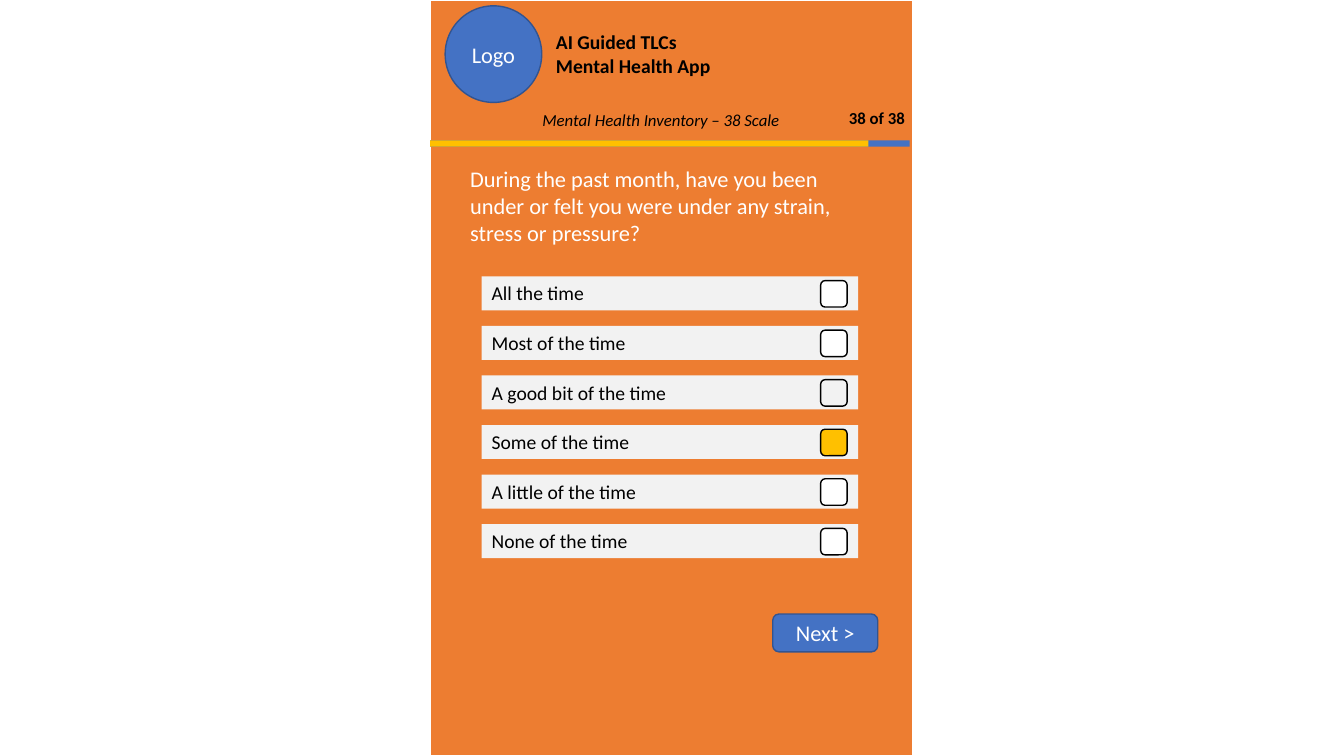
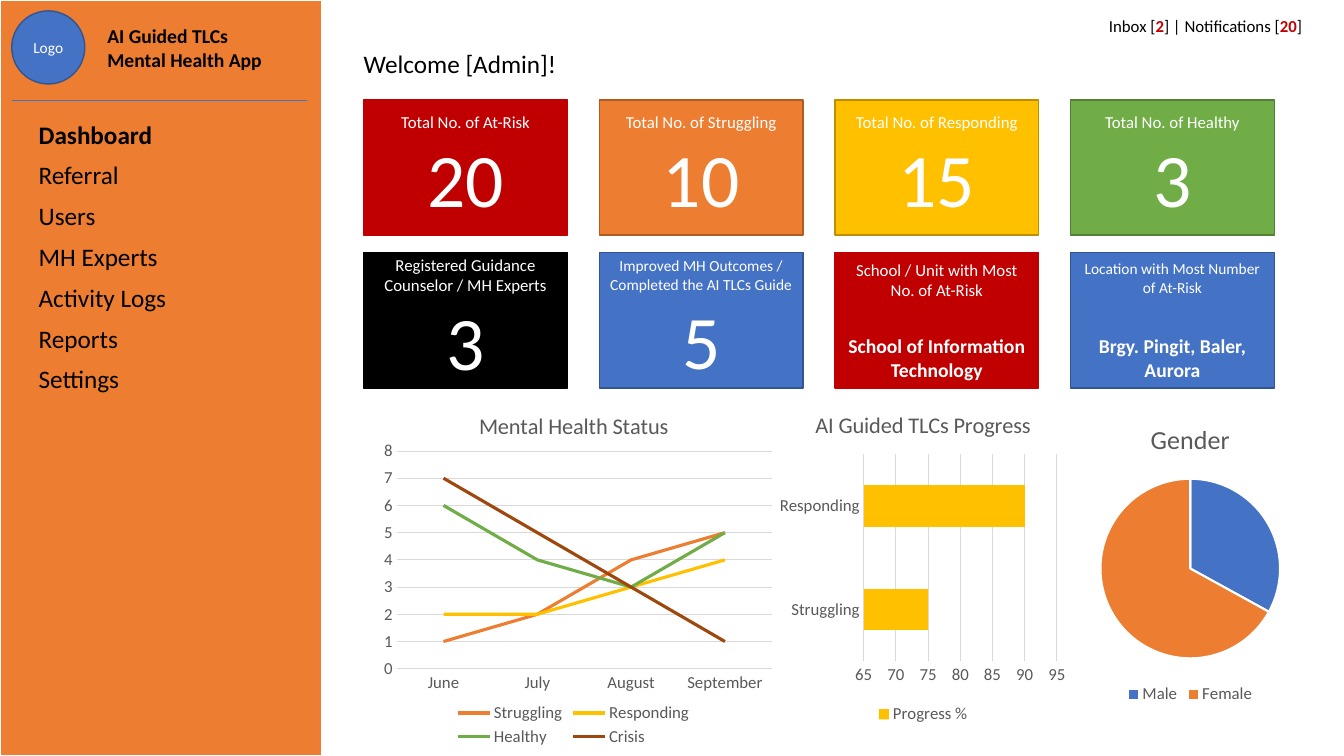
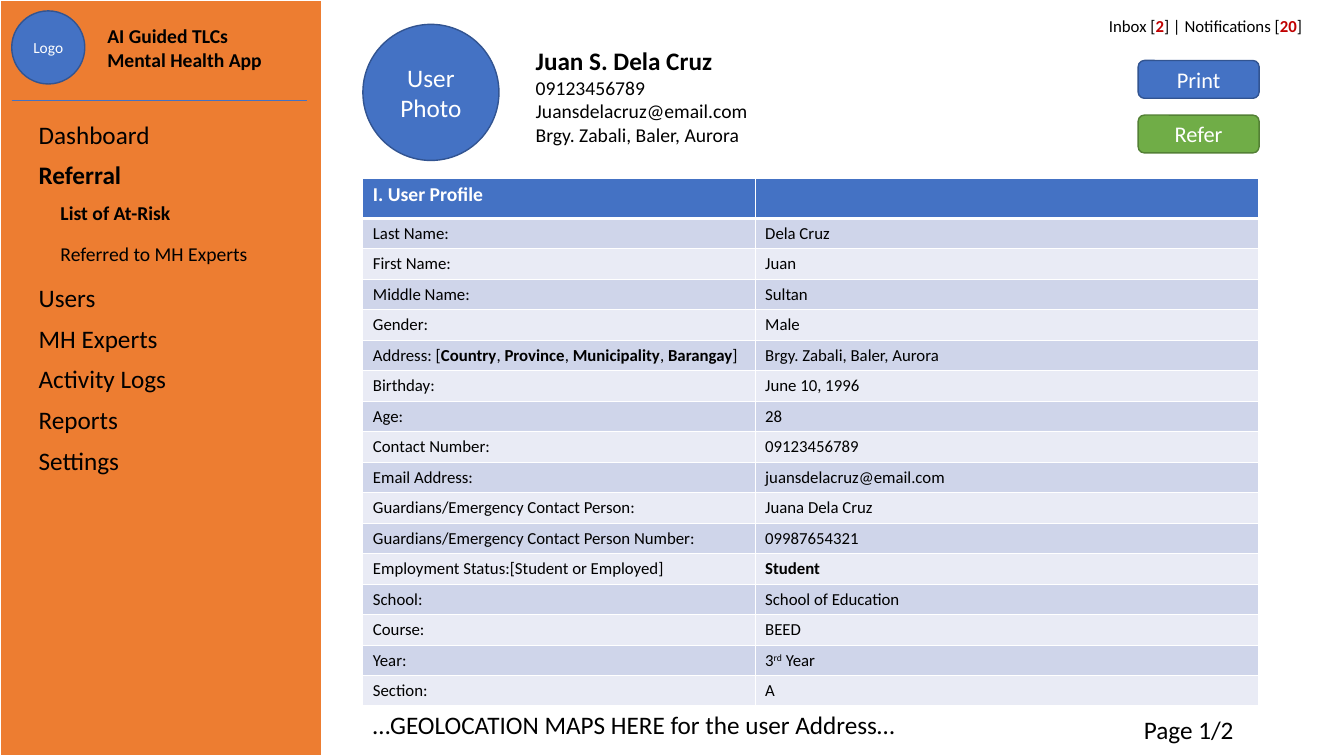
from dataclasses import dataclass
from lxml.etree import SubElement
from pptx import Presentation
from pptx.chart.data import CategoryChartData
from pptx.dml.color import RGBColor
from pptx.enum.chart import XL_CHART_TYPE, XL_LEGEND_POSITION, XL_TICK_MARK
from pptx.enum.shapes import MSO_CONNECTOR, MSO_SHAPE
from pptx.enum.text import MSO_ANCHOR, PP_ALIGN
from pptx.oxml.ns import qn
from pptx.util import Inches, Pt

COLUMNS, ROWS = 160, 90
CELL = Inches(1) / 12
FONT = "Calibri"
PLAIN_TABLE = "{2D5ABB26-0587-4C30-8999-92F81FD0307C}"
COLORS = {
    "orange": "ED7D31", "blue": "4472C4", "yellow": "FFC000", "green": "70AD47",
    "red": "C00000", "brown": "9E480E", "black": "000000", "white": "FFFFFF",
    "pale": "F2F2F2", "band_dark": "CFD5EA", "band_light": "E9EBF5",
    "chart_text": "595959", "chart_grid": "D9D9D9",
    "blue_edge": "325491", "orange_edge": "AF5C24", "yellow_edge": "BD8E00",
    "green_edge": "538035",
}
APP_TITLE = "AI Guided TLCs Mental Health App"
MENU = ["Dashboard", "Referral", "Users", "MH Experts", "Activity Logs", "Reports", "Settings"]
REFERRAL_MENU = ["List of At-Risk", "Referred to MH Experts"]
ANSWERS = [
    ("All the time", "white"), ("Most of the time", "white"),
    ("A good bit of the time", None), ("Some of the time", "yellow"),
    ("A little of the time", "white"), ("None of the time", "white"),
]
CARDS = [
    ("red", 12, "Total No. of At-Risk", "20", 0),
    ("orange", 12, "Total No. of Struggling", "10", 0),
    ("yellow", 12, "Total No. of Responding", "15", 0),
    ("green", 12, "Total No. of Healthy", "3", 0),
    ("black", 12, "Registered Guidance Counselor / MH Experts", "3", 0),
    ("blue", 11, "Improved MH Outcomes / Completed the AI TLCs Guide", "5", 0),
    ("red", 12, "School / Unit with Most No. of At-Risk", "School of Information Technology", 24),
    ("blue", 11, "Location with Most Number of At-Risk", "Brgy. Pingit, Baler, Aurora", 27),
]
BOLD = {"bold": True}
PROFILE = [
    (["Last Name:"], ["Dela Cruz"]),
    (["First Name:"], ["Juan"]),
    (["Middle Name:"], ["Sultan"]),
    (["Gender:"], ["Male"]),
    (["Address: [", ("Country", BOLD), ", ", ("Province", BOLD), ", ",
      ("Municipality", BOLD), ", ", ("Barangay", BOLD), "]"], ["Brgy. Zabali, Baler, Aurora"]),
    (["Birthday:"], ["June 10, 1996"]),
    (["Age:"], ["28"]),
    (["Contact Number:"], ["09123456789"]),
    (["Email Address:"], ["juansdelacruz@email.com"]),
    (["Guardians/Emergency Contact Person:"], ["Juana Dela Cruz"]),
    (["Guardians/Emergency Contact Person Number:"], ["09987654321"]),
    (["Employment Status:[Student or Employed]"], [("Student", BOLD)]),
    (["School:"], ["School of Education"]),
    (["Course:"], ["BEED"]),
    (["Year:"], ["3", ("rd", {"baseline": 30000}), " Year"]),
    (["Section:"], ["A"]),
]


@dataclass
class Box:
    left: float
    top: float
    width: float
    height: float

    def within(self, left, top, width, height):
        return Box(self.left + left, self.top + top, width, height)

    def lengths(self):
        return [cells(n) for n in (self.left, self.top, self.width, self.height)]


SLIDE = Box(0, 0, COLUMNS, ROWS)


def cells(count):
    return int(count * CELL)


def rgb(name):
    return RGBColor.from_string(COLORS[name])


def add_spans(para, spans, size, color="black", bold=False, italic=False):
    for item in spans:
        text, extra = (item, {}) if isinstance(item, str) else item
        span = para.add_run()
        span.text = text
        font = span.font
        font.name = FONT
        font.size = Pt(extra.get("size", size))
        font.color.rgb = rgb(extra.get("color", color))
        font.bold = extra.get("bold", bold)
        font.italic = italic
        if "baseline" in extra:
            font._element.set("baseline", str(extra["baseline"]))


def fill_text(frame, paragraphs, size, align=PP_ALIGN.LEFT, anchor=MSO_ANCHOR.TOP, **style):
    frame.word_wrap = True
    frame.vertical_anchor = anchor
    for index, spans in enumerate(paragraphs):
        para = frame.add_paragraph() if index else frame.paragraphs[0]
        para.alignment = align
        add_spans(para, spans, size, **style)


def add_text(page, box, paragraphs, size, **style):
    text_box = page.shapes.add_textbox(*box.lengths())
    fill_text(text_box.text_frame, paragraphs, size, **style)
    return text_box


def add_block(page, box, fill, edge=None, edge_width=1, kind=MSO_SHAPE.RECTANGLE):
    block = page.shapes.add_shape(kind, *box.lengths())
    block.shadow.inherit = False
    if fill:
        block.fill.solid()
        block.fill.fore_color.rgb = rgb(fill)
    else:
        block.fill.background()
    if edge:
        block.line.color.rgb = rgb(edge)
        block.line.width = Pt(edge_width)
    else:
        block.line.fill.background()
    return block


def add_label(page, box, text, size, kind, fill="blue"):
    label = add_block(page, box, fill, fill + "_edge", kind=kind)
    fill_text(label.text_frame, [[text]], size, PP_ALIGN.CENTER, MSO_ANCHOR.MIDDLE, color="white")


def add_button(page, box, text, fill="blue"):
    add_label(page, box, text, 16, MSO_SHAPE.ROUNDED_RECTANGLE, fill)


def add_grid(page, box, widths, heights):
    table = page.shapes.add_table(len(heights), len(widths), *box.lengths()).table
    table.first_row = table.horz_banding = False
    table._tbl.tblPr.find(qn("a:tableStyleId")).text = PLAIN_TABLE
    for column, width in zip(table.columns, widths):
        column.width = cells(width)
    for row, height in zip(table.rows, heights):
        row.height = cells(height)
    return table


def set_borders(cell, top, bottom):
    properties = cell._tc.get_or_add_tcPr()
    sides = {"lnL": 1, "lnR": 1, "lnT": top, "lnB": bottom}
    for index, (side, width) in enumerate(sides.items()):
        border = SubElement(properties, qn("a:" + side), w=str(Pt(width)))
        fill = SubElement(border, qn("a:solidFill"))
        SubElement(fill, qn("a:srgbClr"), val=COLORS["white"])
        properties.insert(index, border)


def add_answers(page, box):
    pitch = box.height / len(ANSWERS)
    for index, (text, mark) in enumerate(ANSWERS):
        answer = box.within(0, index * pitch, box.width, 4.05)
        bar = add_block(page, answer, "pale")
        fill_text(bar.text_frame, [[text]], 14)
        add_block(page, answer.within(40.35, 0.5, 3.15, 3.15), mark, "black",
                  kind=MSO_SHAPE.ROUNDED_RECTANGLE)


def add_phone(page, box):
    add_block(page, box, "orange", "white", 1.5)
    add_label(page, box.within(1.8, 0.7, 11.5, 11.5), "Logo", 16, MSO_SHAPE.OVAL)
    add_text(page, box.within(13.8, 3, 22, 6.8), [[APP_TITLE]], 14, bold=True)
    add_text(page, box.within(4.1, 12.5, 46.8, 3.6), [["Mental Health Inventory – 38 Scale"]], 12,
             align=PP_ALIGN.CENTER, italic=True)
    add_text(page, box.within(47.2, 12.2, 12, 3.7), [["38 of 38"]], 12,
             align=PP_ALIGN.CENTER, bold=True)
    for width, color in ((57.1, "blue"), (52.2, "yellow")):
        add_block(page, box.within(0, 16.7, width, 0.75), color)
    question = "During the past month, have you been under or felt you were under any strain, stress or pressure?"
    add_text(page, box.within(3.6, 19.1, 50.6, 10.9), [[question]], 16, color="white")
    add_answers(page, box.within(6.15, 32.9, 44.8, 35.4))
    add_button(page, box.within(40.8, 73.1, 12.5, 4.5), "Next >")


def add_menu(page, box, entries):
    pitch = 4.86
    menu_box = box.within(0, 0, box.width, pitch * len(entries))
    table = add_grid(page, menu_box, [box.width], [pitch] * len(entries))
    for row, (text, bold, nested) in enumerate(entries):
        cell = table.cell(row, 0)
        cell.fill.background()
        if nested:
            cell.margin_left = cells(3.8)
        fill_text(cell.text_frame, [[text]], 14 if nested else 18, bold=bold)


def add_sidebar(page, box, entries):
    add_block(page, box, "orange", "white", 1.5)
    add_label(page, box.within(1.4, 1.3, 8.7, 8.7), "Logo", 11, MSO_SHAPE.OVAL)
    add_text(page, box.within(11.6, 2.3, 22, 6.8), [[APP_TITLE]], 14, bold=True)
    start = box.within(1.4, 11.9, 35.2, 0)
    left, top, width, _ = start.lengths()
    rule = page.shapes.add_connector(MSO_CONNECTOR.STRAIGHT, left, top, left + width, top)
    rule.line.color.rgb = rgb("blue")
    rule.line.width = Pt(0.5)
    SubElement(rule._element.spPr, qn("a:effectLst"))
    add_menu(page, box.within(3.4, 13.7, 31.7, 44), entries)


def add_admin_frame(page, entries):
    add_sidebar(page, SLIDE.within(0, 0, 38.3, ROWS), entries)
    count = {"color": "red", "bold": True}
    add_text(page, SLIDE.within(124.3, 1.3, 31.9, 3.6),
             [["Inbox [", ("2", count), "] | Notifications [", ("20", count), "]"]],
             12, align=PP_ALIGN.RIGHT)


def add_cards(page, box):
    for index, (color, size, heading, value, gap) in enumerate(CARDS):
        row, column = divmod(index, 4)
        place = box.within(column * 28.05, row * 18.2, 24.25, 16.1)
        edge = color + "_edge" if color + "_edge" in COLORS else color
        frame = add_block(page, place, color, edge).text_frame
        style = {"size": 14, "bold": True} if gap else {"size": 54}
        fill_text(frame, [[heading], [(value, style)]], size, PP_ALIGN.CENTER,
                  MSO_ANCHOR.MIDDLE, color="white")
        if gap:
            frame.paragraphs[1].space_before = Pt(gap)


def style_font(font, size=12):
    font.name = FONT
    font.size = Pt(size)
    font.bold = False
    font.color.rgb = rgb("chart_text")


def set_plot_layout(chart, shares):
    area = chart._chartSpace.chart.plotArea
    for old in area.findall(qn("c:layout")):
        area.remove(old)
    layout = SubElement(area, qn("c:layout"))
    area.insert(0, layout)
    manual = SubElement(layout, qn("c:manualLayout"))
    settings = [("layoutTarget", "inner"), ("xMode", "edge"), ("yMode", "edge")]
    for name, value in settings + list(zip("xywh", shares)):
        SubElement(manual, qn("c:" + name), val=str(value))


def style_axes(chart):
    for axis in (chart.category_axis, chart.value_axis):
        style_font(axis.tick_labels.font)
        axis.major_tick_mark = axis.minor_tick_mark = XL_TICK_MARK.NONE
    chart.category_axis.format.line.color.rgb = rgb("chart_grid")
    chart.category_axis.format.line.width = Pt(0.75)
    chart.value_axis.format.line.fill.background()
    grid = chart.value_axis.major_gridlines.format.line
    grid.color.rgb = rgb("chart_grid")
    grid.width = Pt(0.75)


def add_figure(page, box, kind, title, categories, series, layout, title_size=16):
    data = CategoryChartData()
    data.categories = categories
    for name, values in series:
        data.add_series(name, values)
    chart = page.shapes.add_chart(kind, *box.lengths(), data).chart
    style_font(chart.font)
    chart.has_title = True
    para = chart.chart_title.text_frame.paragraphs[0]
    add_spans(para, [title], title_size, color="chart_text")
    chart.chart_title.include_in_layout = False
    chart.has_legend = True
    chart.legend.position = XL_LEGEND_POSITION.BOTTOM
    chart.legend.include_in_layout = False
    style_font(chart.legend.font)
    set_plot_layout(chart, layout)
    return chart


def add_status_chart(page, box):
    series = [("Struggling", (1, 2, 4, 5)), ("Responding", (2, 2, 3, 4)),
              ("Healthy", (6, 4, 3, 5)), ("Crisis", (7, 5, 3, 1))]
    chart = add_figure(page, box, XL_CHART_TYPE.LINE, "Mental Health Status",
                       ["June", "July", "August", "September"], series, (0.08, 0.16, 0.89, 0.61))
    style_axes(chart)
    chart.value_axis.minimum_scale, chart.value_axis.maximum_scale = 0, 8
    chart.value_axis.major_unit = 1
    for line, color in zip(chart.plots[0].series, ("orange", "yellow", "green", "brown")):
        line.smooth = False
        line.format.line.color.rgb = rgb(color)
        line.format.line.width = Pt(2.25)


def add_progress_chart(page, box):
    chart = add_figure(page, box, XL_CHART_TYPE.BAR_STACKED, "AI Guided TLCs Progress",
                       ["Struggling", "Responding"], [("Progress %", (75, 90))],
                       (0.3, 0.18, 0.65, 0.62))
    style_axes(chart)
    chart.value_axis.minimum_scale, chart.value_axis.maximum_scale = 65, 95
    chart.value_axis.major_unit = 5
    plot = chart.plots[0]
    plot.gap_width, plot.overlap = 150, 100
    plot.vary_by_categories = False
    fill = plot.series[0].format.fill
    fill.solid()
    fill.fore_color.rgb = rgb("yellow")


def add_gender_chart(page, box):
    chart = add_figure(page, box, XL_CHART_TYPE.PIE, "Gender", ["Male", "Female"],
                       [("Gender", (33, 67))], (0.28, 0.24, 0.44, 0.6), 18.6)
    plot = chart.plots[0]
    plot.vary_by_categories = True
    for index, color in enumerate(("blue", "orange")):
        look = plot.series[0].points[index].format
        look.fill.solid()
        look.fill.fore_color.rgb = rgb(color)
        look.line.color.rgb = rgb("white")
        look.line.width = Pt(1.5)


def add_profile_table(page, box):
    table = add_grid(page, box, [46.7, 59.9], [4.05] + [3.63] * len(PROFILE))
    for row, pair in enumerate([(["I. User Profile"], [])] + PROFILE):
        band = "band_dark" if row % 2 else "band_light"
        for column, spans in enumerate(pair):
            cell = table.cell(row, column)
            cell.fill.solid()
            cell.fill.fore_color.rgb = rgb(band if row else "blue")
            set_borders(cell, 3 if row == 1 else 1, 1 if row else 3)
            if row:
                fill_text(cell.text_frame, [spans], 12)
            else:
                fill_text(cell.text_frame, [spans], 14, color="white", bold=True)


def build_question(page):
    add_phone(page, SLIDE.within(51.2, 0, 57.5, ROWS))


def build_dashboard(page):
    add_admin_frame(page, [(text, text == "Dashboard", False) for text in MENU])
    welcome = add_text(page, SLIDE.within(43.3, 5.2, 57.2, 4.8), [["Welcome [Admin]!"]], 18)
    welcome.text_frame.margin_left = 0
    add_cards(page, SLIDE.within(43.3, 11.9, 108.4, 34.3))
    add_status_chart(page, SLIDE.within(43.2, 46.9, 50.2, 42.5))
    add_gender_chart(page, SLIDE.within(117.4, 48.2, 48.6, 36.1))
    add_progress_chart(page, SLIDE.within(92.2, 46.9, 35.4, 39.8))


def build_profile(page):
    entries = [(text, text == "Referral", False) for text in MENU]
    entries[2:2] = [(text, text == "List of At-Risk", True) for text in REFERRAL_MENU]
    add_admin_frame(page, entries)
    add_label(page, SLIDE.within(43.2, 2.9, 16.2, 16.2), "User Photo", 18, MSO_SHAPE.OVAL)
    add_text(page, SLIDE.within(62.6, 4.8, 41.3, 13.3),
             [[("Juan S. Dela Cruz", {"size": 18, "bold": True})], ["09123456789"],
              ["Juansdelacruz@email.com"], ["Brgy. Zabali, Baler, Aurora"]], 14)
    add_button(page, SLIDE.within(135.5, 7.2, 14.4, 4.5), "Print")
    add_button(page, SLIDE.within(135.5, 13.7, 14.4, 4.5), "Refer", "green")
    add_profile_table(page, SLIDE.within(43.2, 21.2, 106.6, 62.1))
    add_text(page, SLIDE.within(43.2, 83.9, 70.4, 4.8),
             [["…GEOLOCATION MAPS HERE for the user Address…"]], 18)
    add_text(page, SLIDE.within(135, 84.5, 14.9, 4.8), [["Page 1/2"]], 18)


def main():
    deck = Presentation()
    deck.slide_width, deck.slide_height = cells(COLUMNS), cells(ROWS)
    for build in (build_question, build_dashboard, build_profile):
        build(deck.slides.add_slide(deck.slide_layouts[6]))
    deck.save("out.pptx")


if __name__ == "__main__":
    main()
